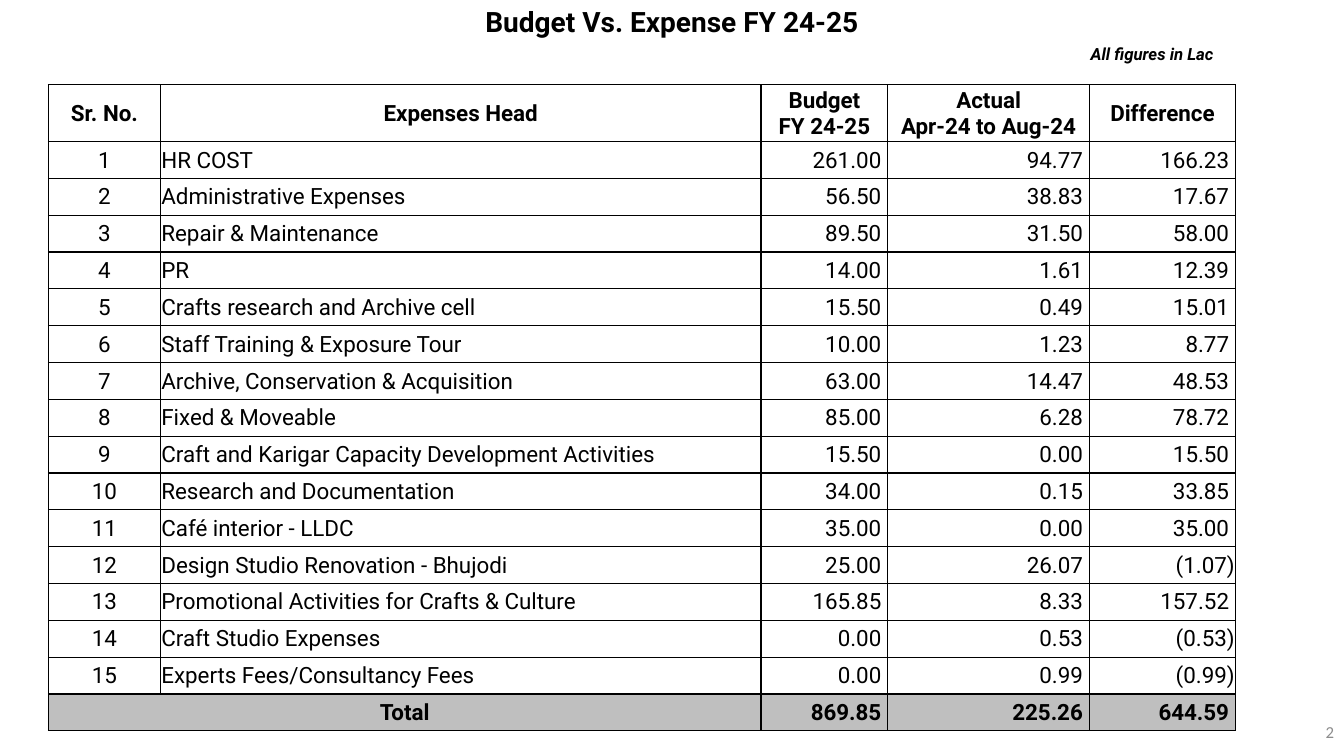
from dataclasses import dataclass

from lxml import etree
from pptx import Presentation, util as u
from pptx.dml.color import RGBColor
from pptx.enum import text
from pptx.oxml import ns

Pt = u.Pt


@dataclass(frozen=True)
class Theme:
    ink: str = "000000"
    muted: str = "8C8C8C"
    total: str = "BFBFBF"
    font: str = "Roboto"
    number_font: str = "Calibri"
    title: int = 20
    body: int = 16
    small: int = 12
    border: int = 1


T = Theme()
L, C, R = text.PP_ALIGN.LEFT, text.PP_ALIGN.CENTER, text.PP_ALIGN.RIGHT
MIDDLE = text.MSO_ANCHOR.MIDDLE
FIT = text.MSO_AUTO_SIZE.SHAPE_TO_FIT_TEXT

COLUMNS = [80, 429, 90.6, 144, 104.4]
HEADER_HEIGHT, ROW_HEIGHT = 40.6, 26.32
ALIGNS = [C, L, R, R, R]
HEADER = ["Sr. No.", "Expenses Head", "Budget\nFY 24-25",
          "Actual\nApr-24 to Aug-24", "Difference"]
EXPENSES = [
    ("HR COST", "261.00", "94.77", "166.23"),
    ("Administrative Expenses", "56.50", "38.83", "17.67"),
    ("Repair & Maintenance", "89.50", "31.50", "58.00"),
    ("PR", "14.00", "1.61", "12.39"),
    ("Crafts research and Archive cell", "15.50", "0.49", "15.01"),
    ("Staff Training & Exposure Tour", "10.00", "1.23", "8.77"),
    ("Archive, Conservation & Acquisition", "63.00", "14.47", "48.53"),
    ("Fixed & Moveable", "85.00", "6.28", "78.72"),
    ("Craft and Karigar Capacity Development Activities", "15.50", "0.00", "15.50"),
    ("Research and Documentation", "34.00", "0.15", "33.85"),
    ("Café interior - LLDC", "35.00", "0.00", "35.00"),
    ("Design Studio Renovation - Bhujodi", "25.00", "26.07", "(1.07)"),
    ("Promotional Activities for Crafts & Culture", "165.85", "8.33", "157.52"),
    ("Craft Studio Expenses", "0.00", "0.53", "(0.53)"),
    ("Experts Fees/Consultancy Fees", "0.00", "0.99", "(0.99)"),
]
TOTAL = ["Total", "", "869.85", "225.26", "644.59"]


def apply(obj, values):
    for name, value in values.items():
        setattr(obj, name, value)


def write(tf, content, align, color=T.ink, **font):
    tf.text = content
    for p in tf.paragraphs:
        p.alignment = align
        for r in p.runs:
            apply(r.font, font)
            r.font.color.rgb = RGBColor.from_string(color)


def add_label(s, box, content, align, frame, **font):
    sp = s.shapes.add_textbox(*map(Pt, box))
    apply(sp.text_frame, frame)
    write(sp.text_frame, content, align, **font)


def add_borders(cell):
    tc_pr = cell._tc.get_or_add_tcPr()
    for side in ("lnL", "lnR", "lnT", "lnB"):
        ln = etree.SubElement(tc_pr, ns.qn(f"a:{side}"), w=str(Pt(T.border)))
        fill = etree.SubElement(ln, ns.qn("a:solidFill"))
        etree.SubElement(fill, ns.qn("a:srgbClr"), val=T.ink)


def format_cell(cell, content, align, bold, fill=None):
    positive = align == R and not content.endswith(")")
    apply(cell, dict(vertical_anchor=MIDDLE, margin_left=Pt(0.7), margin_top=Pt(0.7),
                     margin_right=Pt(4.7 if positive else 0.7), margin_bottom=Pt(0)))
    add_borders(cell)
    if fill:
        cell.fill.solid()
        cell.fill.fore_color.rgb = RGBColor.from_string(fill)
    else:
        cell.fill.background()
    write(cell.text_frame, content, align, name=T.font, size=Pt(T.body), bold=bold)


def add_budget_table(s):
    rows = [(HEADER, [C] * len(HEADER), True, None)]
    rows += [([str(i), *expense], ALIGNS, False, None)
             for i, expense in enumerate(EXPENSES, 1)]
    rows.append((TOTAL, ALIGNS, True, T.total))
    heights = [HEADER_HEIGHT] + [ROW_HEIGHT] * (len(rows) - 1)
    box = (34.6, 60.5, sum(COLUMNS), sum(heights))
    table = s.shapes.add_table(len(rows), len(COLUMNS), *map(Pt, box)).table
    apply(table, dict(first_row=False, horz_banding=False))
    for column, width in zip(table.columns, COLUMNS):
        column.width = Pt(width)
    for i, (values, aligns, bold, fill) in enumerate(rows):
        table.rows[i].height = Pt(heights[i])
        for j, value in enumerate(values):
            format_cell(table.cell(i, j), value, aligns[j], bold, fill)
    last = len(rows) - 1
    table.cell(last, 0).merge(table.cell(last, 1))


def main():
    prs = Presentation()
    apply(prs, dict(slide_width=Pt(960), slide_height=Pt(540)))
    s = prs.slides.add_slide(prs.slide_layouts[6])
    add_label(s, (744, 508.5, 216, 28.8), "2", R,
              dict(word_wrap=True, vertical_anchor=MIDDLE),
              color=T.muted, name=T.number_font, size=Pt(T.small))
    add_label(s, (0, 0, 960, 31.5), "Budget Vs. Expense FY 24-25", C,
              dict(word_wrap=True, auto_size=FIT),
              name=T.font, size=Pt(T.title), bold=True)
    add_label(s, (772, 27.5, 111, 21.8), "All figures in Lac", L,
              dict(word_wrap=False, auto_size=FIT),
              name=T.font, size=Pt(T.small), bold=True, italic=True)
    add_budget_table(s)
    prs.save("out.pptx")


if __name__ == "__main__":
    main()
